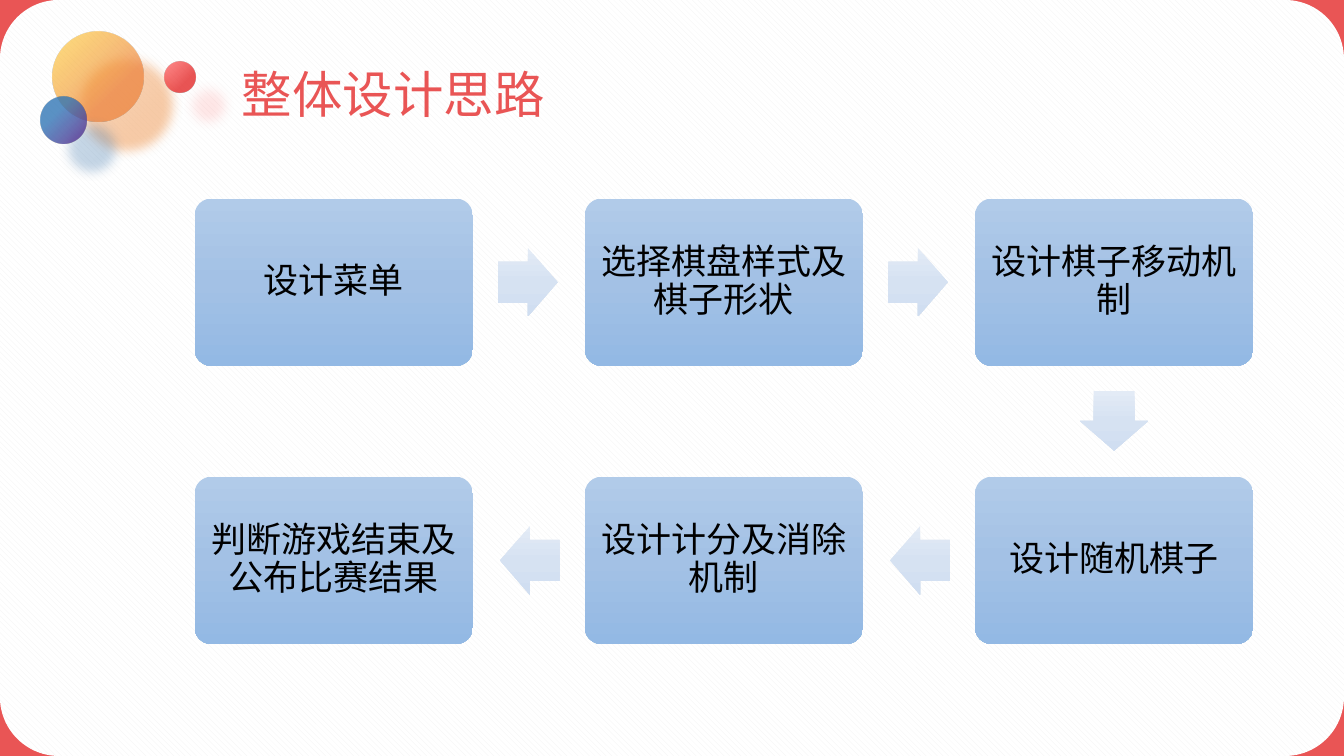
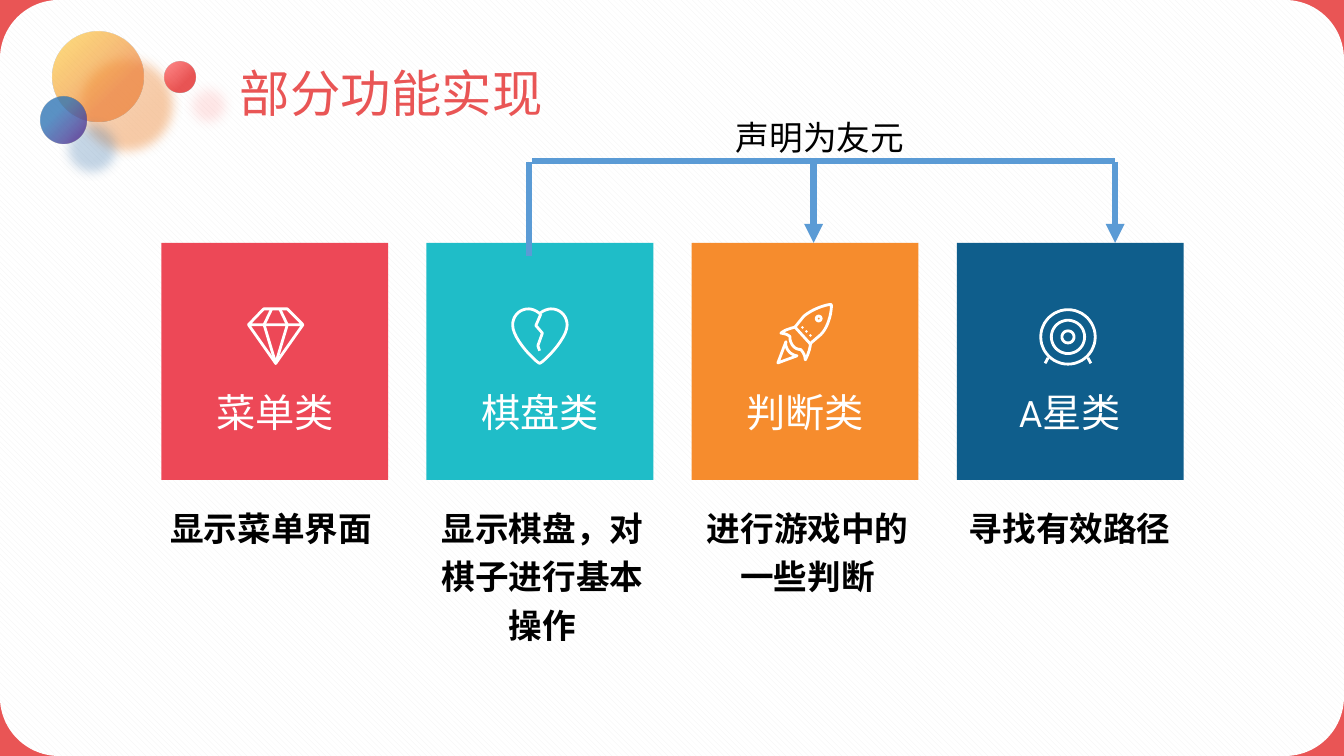
from math import cos, pi, sin

from pptx import Presentation
from pptx.dml.color import RGBColor
from pptx.enum.dml import MSO_PATTERN
from pptx.enum.shapes import MSO_CONNECTOR, MSO_SHAPE
from pptx.enum.text import MSO_ANCHOR, PP_ALIGN
from pptx.oxml import parse_xml
from pptx.oxml.ns import nsdecls, qn
from pptx.util import Inches, Pt

WIDTH, HEIGHT = 13.33, 7.5
CJK_FONT = "Noto Sans CJK SC"
RED, WHITE, BLACK, LINE_BLUE = "E95555", "FFFFFF", "000000", "5B9BD5"

# left, top, diameter, gradient stops (position, colour, opacity), focus, shadow (colour, opacity)
BUBBLES = [
    (0.52, 0.31, 0.9, [(34, "ED7D31", 65), (100, "FFC000", 50)], (100, 0), ("F3AF78", 100)),
    (1.63, 0.61, 0.31, [(34, "E53333", 83), (100, "FF4747", 62)], (100, 0), ("FF4747", 17)),
    (0.4, 0.96, 0.46, [(34, "2E75B6", 78), (100, "632A8D", 85)], (0, 100), ("497EB1", 40)),
]
STEP_STOPS = [(0, "B1CBE9", 100), (50, "A3C1E5", 100), (100, "93B9E4", 100)]
ARROW_STOPS = [(0, "E3EBF6", 100), (50, "D6E2F2", 100), (100, "D0DEF1", 100)]
STEPS = ["设计菜单", "选择棋盘样式及棋子形状", "设计棋子移动机制",
         "设计随机棋子", "设计计分及消除机制", "判断游戏结束及公布比赛结果"]


def color(value):
    return RGBColor.from_string(value)


def apply_format(target, values):
    for name, value in values.items():
        setattr(target, name, value)


def write(shape, text, size, fill, font=CJK_FONT, bold=False, align=PP_ALIGN.LEFT,
          spacing=1.0, **frame_values):
    frame = shape.text_frame
    apply_format(frame, {"word_wrap": True, **frame_values})
    paragraph = frame.paragraphs[0]
    apply_format(paragraph, {"alignment": align, "line_spacing": spacing})
    run = paragraph.add_run()
    run.text = text
    apply_format(run.font, {"size": Pt(size), "name": font, "bold": bold})
    run.font.color.rgb = color(fill)
    east_asian = parse_xml(f'<a:ea {nsdecls("a")} typeface="{CJK_FONT}"/>')
    run.font._element.find(qn("a:latin")).addnext(east_asian)


def add_text(slide, box, text, size, fill, **values):
    shape = slide.shapes.add_textbox(*map(Inches, box))
    write(shape, text, size, fill, **values)


def add_plain_shape(slide, kind, box, fill=None):
    """Add a preset shape without line or shadow."""
    shape = slide.shapes.add_shape(kind, *map(Inches, box))
    shape.shadow.inherit = False
    shape.line.fill.background()
    if fill:
        shape.fill.solid()
        shape.fill.fore_color.rgb = color(fill)
    return shape


def gradient_fill(shape, stops, focus=None):
    """Fill from top to bottom, or in circles around the focus corner in percent."""
    stop_xml = "".join(
        f'<a:gs pos="{position * 1000}"><a:srgbClr val="{value}">'
        f'<a:alpha val="{opacity * 1000}"/></a:srgbClr></a:gs>'
        for position, value, opacity in stops)
    if focus:
        near, far = (percent * 1000 for percent in focus)
        direction = (f'<a:path path="circle"><a:fillToRect l="{near}" t="{near}" '
                     f'r="{far}" b="{far}"/></a:path>')
    else:
        direction = '<a:lin ang="5400000" scaled="0"/>'
    shape.fill.background()
    properties = shape._element.spPr
    properties.replace(properties.find(qn("a:noFill")), parse_xml(
        f'<a:gradFill {nsdecls("a")} rotWithShape="1"><a:gsLst>{stop_xml}</a:gsLst>'
        f'{direction}</a:gradFill>'))


def soft_shadow(shape, value, opacity):
    effects = shape._element.spPr.find(qn("a:effectLst"))
    effects.append(parse_xml(
        f'<a:outerShdw {nsdecls("a")} blurRad="{Pt(8)}" dist="{Pt(29)}" dir="2700000" '
        f'algn="tl" rotWithShape="0"><a:srgbClr val="{value}">'
        f'<a:alpha val="{opacity * 1000}"/></a:srgbClr></a:outerShdw>'))


def add_line(slide, start, end, arrow=False):
    line = slide.shapes.add_connector(MSO_CONNECTOR.STRAIGHT, *map(Inches, (*start, *end)))
    line.line.color.rgb = color(LINE_BLUE)
    line.line.width = Pt(4.5)
    properties = line._element.spPr
    if arrow:
        properties.find(qn("a:ln")).append(
            parse_xml(f'<a:tailEnd {nsdecls("a")} type="triangle"/>'))
    properties.append(parse_xml(f'<a:effectLst {nsdecls("a")}/>'))


def add_base_slide(presentation, title, left, top):
    """Add a slide with the rounded page, the bubbles and the title."""
    slide = presentation.slides.add_slide(presentation.slide_layouts[6])
    slide.background.fill.solid()
    slide.background.fill.fore_color.rgb = color(RED)
    page = add_plain_shape(slide, MSO_SHAPE.ROUNDED_RECTANGLE, (0, 0, WIDTH, HEIGHT))
    page.adjustments[0] = 0.078
    page.fill.patterned()
    page.fill.pattern = MSO_PATTERN.WIDE_DOWNWARD_DIAGONAL
    page.fill.fore_color.rgb = color("F2F2F2")
    page.fill.back_color.rgb = color(WHITE)
    for x, y, size, stops, focus, shadow in BUBBLES:
        bubble = add_plain_shape(slide, MSO_SHAPE.OVAL, (x, y, size, size))
        gradient_fill(bubble, stops, focus)
        soft_shadow(bubble, *shadow)
    add_text(slide, (left, top, 6.71, 0.81), title, 36, RED, spacing=1.1, word_wrap=False,
             margin_left=Inches(0.16), margin_right=Inches(0.16),
             margin_top=0, margin_bottom=0)
    return slide


def add_flow(slide, left, top, steps, columns=3):
    """Lay the steps out in a snake: one row rightwards, the next leftwards."""
    width, height, gap_x, gap_y = 2.76, 1.66, 1.11, 1.1
    length, breadth, offset = 0.59, 0.68, 0.25
    margins = {f"margin_{side}": Inches(0.1) for side in ("left", "right", "top", "bottom")}
    for index, text in enumerate(steps):
        row, place = divmod(index, columns)
        rightwards = row % 2 == 0
        column = place if rightwards else columns - 1 - place
        x, y = left + column * (width + gap_x), top + row * (height + gap_y)
        step = add_plain_shape(slide, MSO_SHAPE.ROUNDED_RECTANGLE, (x, y, width, height))
        step.adjustments[0] = 0.1
        gradient_fill(step, STEP_STOPS)
        write(step, text, 25, BLACK, align=PP_ALIGN.CENTER, spacing=0.9,
              vertical_anchor=MSO_ANCHOR.MIDDLE, **margins)
        if index == len(steps) - 1:
            break
        middle_y = y + (height - breadth) / 2
        if place == columns - 1:
            kind = MSO_SHAPE.DOWN_ARROW
            box = (x + (width - breadth) / 2, y + height + offset, breadth, length)
        elif rightwards:
            kind, box = MSO_SHAPE.RIGHT_ARROW, (x + width + offset, middle_y, length, breadth)
        else:
            kind, box = MSO_SHAPE.LEFT_ARROW, (x - offset - length, middle_y, length, breadth)
        arrow = add_plain_shape(slide, kind, box)
        arrow.adjustments[0], arrow.adjustments[1] = 0.6, 0.5
        gradient_fill(arrow, ARROW_STOPS)


def curve(*points, samples=12):
    """Sample joined cubic curves: a start, then two handles and an end for each."""
    result = [points[0]]
    for index in range(0, len(points) - 1, 3):
        part = points[index:index + 4]
        for sample in range(1, samples + 1):
            t = sample / samples
            weights = ((1 - t) ** 3, 3 * t * (1 - t) ** 2, 3 * t * t * (1 - t), t ** 3)
            result.append(tuple(sum(w * point[axis] for w, point in zip(weights, part))
                                for axis in (0, 1)))
    return result


def circle(x, y, radius, samples=48):
    return [(x + radius * cos(2 * pi * i / samples), y + radius * sin(2 * pi * i / samples))
            for i in range(samples + 1)]


# Icon strokes, in thousandths of an inch from the icon's corner
DIAMOND = [
    [(15, 172), (165, 15), (400, 15), (555, 172), (285, 555), (15, 172), (555, 172)],
    [(245, 15), (170, 172), (285, 555), (400, 172), (325, 15)],
]
HEART = [
    curve((283, 62), (250, 32), (210, 15), (170, 15), (85, 15), (15, 85), (15, 175),
          (15, 320), (255, 550), (283, 555), (310, 550), (555, 320), (555, 175),
          (555, 85), (485, 15), (400, 15), (360, 15), (315, 32), (283, 62)),
    [(295, 65), (245, 180), (310, 255), (265, 380), (282, 430)],
]
ROCKET = [
    curve((555, 10), (500, 10), (355, 60), (280, 130))
    + [(195, 235), (345, 400)]
    + curve((450, 310), (530, 230), (560, 80), (555, 10)),
    curve((195, 235), (140, 250), (90, 265), (55, 295), (90, 300), (120, 305), (145, 330),
          (140, 380), (180, 460), (250, 457), (285, 490), (295, 530), (297, 560),
          (320, 520), (345, 450), (348, 400)),
    [(25, 590)] + curve((215, 520), (140, 510), (95, 440), (105, 380)) + [(25, 590)],
    circle(430, 150, 24),
    *(circle(270 + shift, 240 + shift, 2) for shift in (0, 40, 80)),
]
TARGET = [
    *(circle(283, 283, radius) for radius in (270, 165, 60)),
    [(480, 490), (510, 545)],
    [(86, 490), (56, 545)],
]
# name, description, its offset from the card, colour, icon strokes, icon offset
CARDS = [
    ("菜单类", "显示菜单界面", -0.05, "ED4857", DIAMOND, (0.85, 0.64)),
    ("棋盘类", "显示棋盘，对棋子进行基本操作", 0.01, "1FBDC8", HEART, (0.84, 0.64)),
    ("判断类", "进行游戏中的一些判断", 0.01, "F68C2D", ROCKET, (0.83, 0.6)),
    ("A星类", "寻找有效路径", -0.02, "0F5E8C", TARGET, (0.82, 0.65)),
]


def add_icon(slide, left, top, strokes):
    builder = slide.shapes.build_freeform(*strokes[0][0], scale=Inches(1) / 1000)
    for index, stroke in enumerate(strokes):
        if index:
            builder.move_to(*stroke[0])
        builder.add_line_segments(stroke[1:], close=False)
    icon = builder.convert_to_shape(Inches(left), Inches(top))
    icon.shadow.inherit = False
    icon.fill.background()
    icon.line.color.rgb = color(WHITE)
    icon.line.width = Pt(2)


def add_card(slide, left, top, name, description, text_offset, fill, strokes, icon_offset):
    width, height = 2.25, 2.35
    add_plain_shape(slide, MSO_SHAPE.RECTANGLE, (left, top, width, height), fill)
    add_icon(slide, left + icon_offset[0], top + icon_offset[1], strokes)
    add_text(slide, (left, top + 1.39, width, 0.57), name, 28, WHITE,
             font="League Spartan", align=PP_ALIGN.CENTER)
    add_text(slide, (left + text_offset, top + height + 0.15, 2.28, 1.51), description, 24,
             BLACK, font="Arial", bold=True, align=PP_ALIGN.CENTER, spacing=1.2)


def add_friend_bracket(slide, top, source_x, target_xs, card_top):
    """Link one card to the others from above."""
    stem_top = top + 0.01
    add_line(slide, (source_x, stem_top), (source_x, card_top + 0.13))
    add_line(slide, (source_x + 0.03, top), (target_xs[-1], top))
    for x in target_xs:
        add_line(slide, (x, stem_top), (x, card_top), arrow=True)
    add_text(slide, (7.2, top - 0.49, 1.88, 0.5), "声明为友元", 24, BLACK, word_wrap=False)


def main():
    presentation = Presentation()
    apply_format(presentation, {"slide_width": Inches(WIDTH), "slide_height": Inches(HEIGHT)})

    design = add_base_slide(presentation, "整体设计思路", 2.24, 0.57)
    add_flow(design, 1.93, 1.97, STEPS)

    features = add_base_slide(presentation, "部分功能实现", 2.22, 0.56)
    card_top = 2.41
    for index, card in enumerate(CARDS):
        add_card(features, 1.6 + index * 2.63, card_top, *card)
    add_friend_bracket(features, 1.6, 5.25, (8.07, 11.06), card_top)

    presentation.save("out.pptx")


if __name__ == "__main__":
    main()
